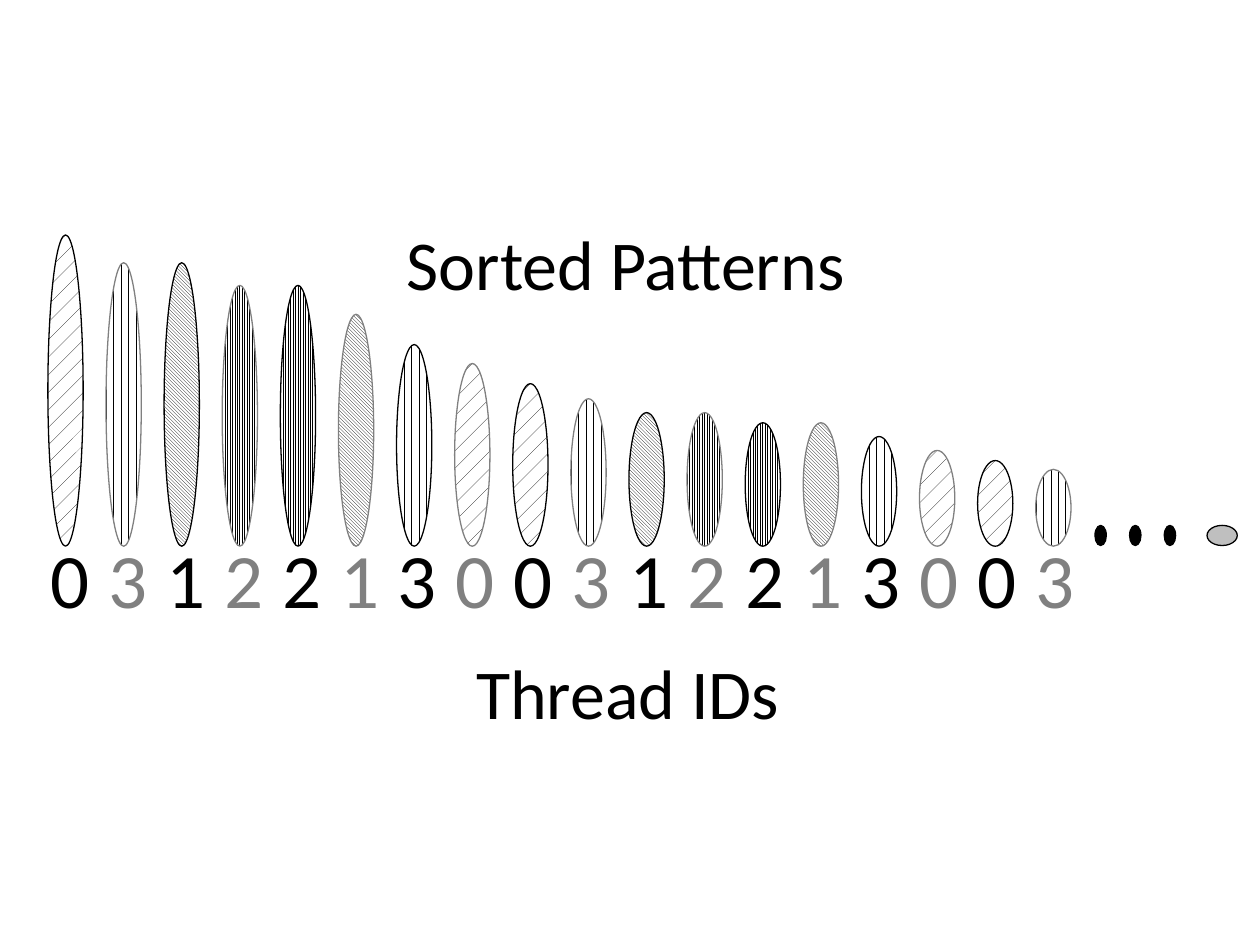
from dataclasses import dataclass
from pptx import Presentation
from pptx.dml.color import RGBColor
from pptx.enum.dml import MSO_PATTERN
from pptx.enum.shapes import MSO_SHAPE
from pptx.enum.text import MSO_AUTO_SIZE
from pptx.util import Inches, Pt


@dataclass(frozen=True)
class Theme:
    black: str = "000000"
    gray: str = "808080"
    silver: str = "BFBFBF"
    white: str = "FFFFFF"
    font: str = "Calibri"
    title: int = 40
    digit: int = 44
    line: float = 0.75


def apply(target, values):
    for name, value in values.items():
        setattr(target, name, value)


class Board:
    def __init__(self, slide, theme):
        self.slide = slide
        self.theme = theme

    def oval(self, box, fill, line, pattern=None, parent=None):
        shapes = (parent or self.slide).shapes
        shape = shapes.add_shape(MSO_SHAPE.OVAL, *map(Inches, box))
        shape.shadow.inherit = False
        if pattern is None:
            shape.fill.solid()
            shape.fill.fore_color.rgb = RGBColor.from_string(fill)
        else:
            shape.fill.patterned()
            shape.fill.pattern = pattern
            shape.fill.fore_color.rgb = RGBColor.from_string(fill)
            shape.fill.back_color.rgb = RGBColor.from_string(self.theme.white)
        shape.line.color.rgb = RGBColor.from_string(line)
        shape.line.width = Pt(self.theme.line)

    def text(self, box, words, size, color, wrap):
        frame = self.slide.shapes.add_textbox(*map(Inches, box)).text_frame
        apply(frame, {"word_wrap": wrap, "auto_size": MSO_AUTO_SIZE.SHAPE_TO_FIT_TEXT})
        run = frame.paragraphs[0].add_run()
        run.text = words
        apply(run.font, {"name": self.theme.font, "size": Pt(size)})
        run.font.color.rgb = RGBColor.from_string(color)

    def group(self):
        return self.slide.shapes.add_group_shape()


deck = Presentation()
apply(deck, {"slide_width": Inches(10), "slide_height": Inches(7.5)})
theme = Theme()
board = Board(deck.slides.add_slide(deck.slide_layouts[6]), theme)

heights = [2.47, 2.25, 2.25, 2.07, 2.07, 1.84, 1.6, 1.45, 1.29,
           1.17, 1.06, 1.06, 0.98, 0.98, 0.87, 0.76, 0.68, 0.61]
cycle = [0, 3, 1, 2, 2, 1, 3, 0]
threads = [cycle[i % len(cycle)] for i in range(len(heights))]
patterns = [MSO_PATTERN.PERCENT_5, MSO_PATTERN.LIGHT_DOWNWARD_DIAGONAL,
            MSO_PATTERN.LIGHT_VERTICAL, MSO_PATTERN.DASHED_VERTICAL]
colors = [theme.black, theme.gray]
first, last, base = 0.38, 8.22, 4.335
step = (last - first) / (len(heights) - 1)

for i, (height, thread) in enumerate(zip(heights, threads)):
    box = (first + i * step, base - height, 0.28, height)
    board.oval(box, theme.black, colors[i % 2], patterns[thread])

board.oval((9.58, 4.17, 0.24, 0.16), theme.silver, theme.black)
dots = board.group()
for i in range(3):
    board.oval((8.69 + i * 0.275, 4.17, 0.09, 0.16), theme.black, theme.black, parent=dots)

for start, color in enumerate(colors):
    for i in range(start, len(threads), 2):
        board.text((0.3 + i * 0.46, 4.17, 0.49, 0.84), str(threads[i]), theme.digit, color, True)

for box, words in [((3.68, 5.11, 2.64, 0.77), "Thread IDs"),
                   ((3.13, 1.7, 3.74, 0.77), "Sorted Patterns")]:
    board.text(box, words, theme.title, theme.black, False)

deck.save("out.pptx")
